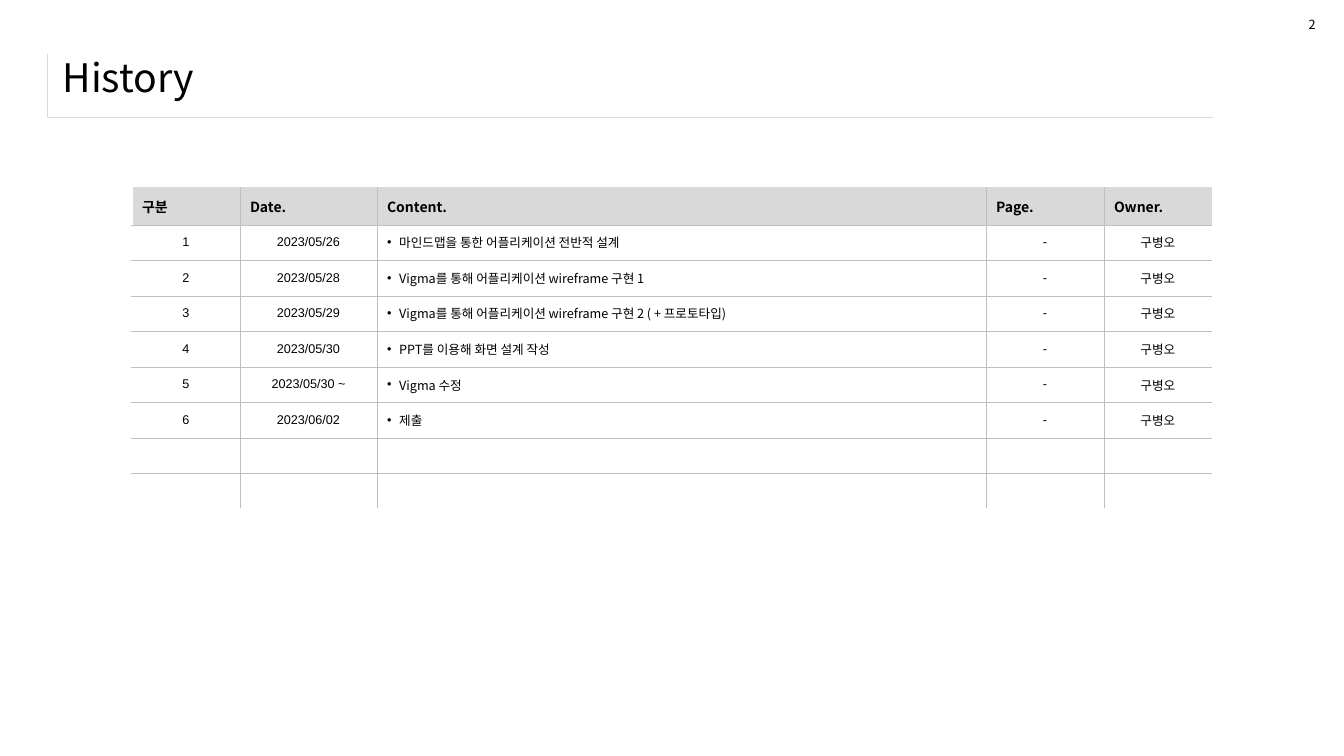
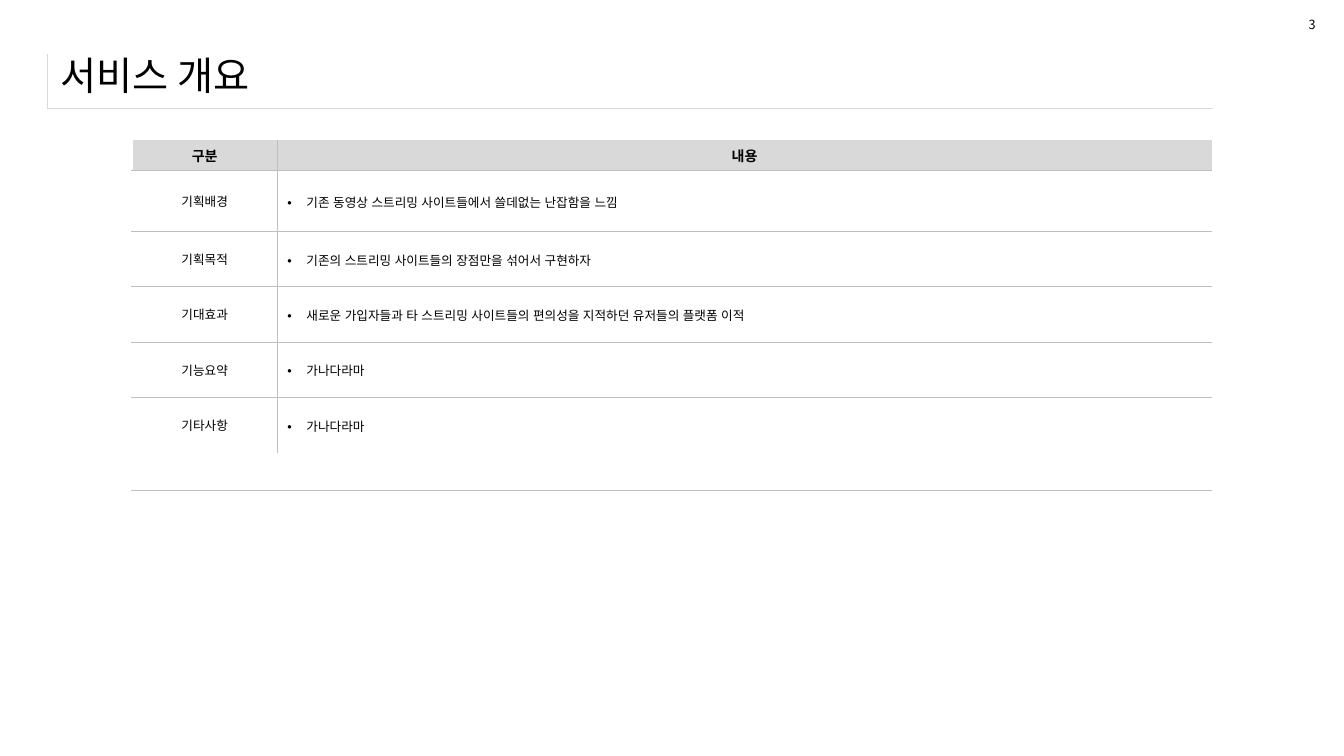
from dataclasses import dataclass

from lxml.etree import SubElement
from pptx import Presentation
from pptx.dml.color import RGBColor
from pptx.enum.text import MSO_ANCHOR, MSO_AUTO_SIZE, PP_ALIGN
from pptx.oxml.ns import qn
from pptx.slide import Slide
from pptx.table import Table, _Cell
from pptx.text.text import _Paragraph
from pptx.util import Inches, Pt

KOREAN_FONT = "Noto Sans CJK KR"
LATIN_FONT = "Arial"
BLACK = "000000"
WHITE = "FFFFFF"
LIGHT_GREY = "D9D9D9"
BORDER_GREY = "BFBFBF"
FRAME_LEFT, FRAME_TOP, FRAME_WIDTH = 0.47, 0.54, 11.56
TABLE_LEFT = 1.31
TITLE_WIDTH = 12.49


@dataclass(frozen=True)
class Column:
    heading: str
    width: float
    align: PP_ALIGN = PP_ALIGN.CENTER
    font_name: str = LATIN_FONT
    bullet_indent: float = 0
    line_spacing: float = 1.0


@dataclass(frozen=True)
class TableContent:
    top: float
    columns: list[Column]
    row_heights: list[float]
    rows: list[tuple[str, ...]]
    heading_align: PP_ALIGN
    closing_row: bool = False


@dataclass(frozen=True)
class Page:
    number: int
    title: str
    title_left: float
    title_top: float
    title_height: float
    frame_height: float
    table: TableContent


def color(value: str) -> RGBColor:
    return RGBColor.from_string(value)


def format_font(paragraph: _Paragraph, size: float, name: str = KOREAN_FONT,
                bold: bool = False) -> None:
    font = paragraph.font
    font.size = Pt(size)
    font.name = name
    font.bold = bold
    font.color.rgb = color(BLACK)
    SubElement(font._rPr, qn("a:ea")).set("typeface", name)


def add_bullet(paragraph: _Paragraph, indent: float) -> None:
    properties = paragraph._p.get_or_add_pPr()
    properties.set("marL", str(Inches(indent)))
    properties.set("indent", str(-Inches(indent)))
    SubElement(properties, qn("a:buFont")).set("typeface", LATIN_FONT)
    SubElement(properties, qn("a:buChar")).set("char", "•")


def set_border(cell: _Cell, side: str, line_color: str | None) -> None:
    width = Pt(1) if line_color == WHITE else Pt(0.25)
    line = SubElement(cell._tc.get_or_add_tcPr(), qn(f"a:ln{side}"), w=str(width))
    if line_color is None:
        SubElement(line, qn("a:noFill"))
    else:
        fill = SubElement(line, qn("a:solidFill"))
        SubElement(fill, qn("a:srgbClr")).set("val", line_color)


def set_borders(cell: _Cell, left: str | None, right: str | None,
                top: str | None, bottom: str | None) -> None:
    for side, line_color in zip("LRTB", (left, right, top, bottom)):
        set_border(cell, side, line_color)


def border_cell(cell: _Cell, row: int, column: int, content: TableContent) -> None:
    last_row = len(content.row_heights) - 1
    last_column = len(content.columns) - 1
    closing = content.closing_row and row == last_row
    inner = None if closing else BORDER_GREY
    bottom = BORDER_GREY
    if content.closing_row and row == last_row - 1:
        bottom = None
    elif row == last_row and not closing:
        bottom = WHITE
    set_borders(
        cell,
        left=WHITE if column == 0 else inner,
        right=None if column == last_column else inner,
        top=None if row == 0 else inner,
        bottom=bottom,
    )


def fill_cell(cell: _Cell, text: str, column: Column, heading_align: PP_ALIGN | None) -> None:
    cell.vertical_anchor = MSO_ANCHOR.MIDDLE
    paragraph = cell.text_frame.paragraphs[0]
    if heading_align is not None:
        cell.fill.solid()
        cell.fill.fore_color.rgb = color(LIGHT_GREY)
        paragraph.text = text
        paragraph.alignment = heading_align
        format_font(paragraph, 10, bold=True)
        return
    cell.fill.background()
    if not text:
        paragraph._p.get_or_add_endParaRPr().set("sz", "900")
        return
    paragraph.text = text
    if column.bullet_indent:
        add_bullet(paragraph, column.bullet_indent)
    paragraph.alignment = column.align
    paragraph.line_spacing = column.line_spacing
    format_font(paragraph, 9, column.font_name)


def add_grid(slide: Slide, left: float, top: float, widths: list[float],
             heights: list[float]) -> Table:
    table = slide.shapes.add_table(
        len(heights), len(widths), Inches(left), Inches(top),
        Inches(sum(widths)), Inches(sum(heights))).table
    table.first_row = False
    table.horz_banding = False
    for column, width in zip(table.columns, widths):
        column.width = Inches(width)
    for row, height in zip(table.rows, heights):
        row.height = Inches(height)
    return table


def draw_table(slide: Slide, content: TableContent) -> None:
    columns = content.columns
    table = add_grid(slide, TABLE_LEFT, content.top,
                     [column.width for column in columns], content.row_heights)
    texts = [tuple(column.heading for column in columns), *content.rows]
    last_row = len(content.row_heights) - 1
    for row in range(last_row + 1):
        for index, column in enumerate(columns):
            cell = table.cell(row, index)
            text = texts[row][index] if row < len(texts) else ""
            border_cell(cell, row, index, content)
            fill_cell(cell, text, column, content.heading_align if row == 0 else None)
    if content.closing_row:
        table.cell(last_row, 0).merge(table.cell(last_row, len(columns) - 1))


def draw_title_frame(slide: Slide, height: float) -> None:
    cell = add_grid(slide, FRAME_LEFT, FRAME_TOP, [FRAME_WIDTH], [height]).cell(0, 0)
    set_borders(cell, left=LIGHT_GREY, right=None, top=None, bottom=LIGHT_GREY)
    cell.fill.background()


def draw_title(slide: Slide, page: Page) -> None:
    title = slide.shapes.title
    title.left, title.top = Inches(page.title_left), Inches(page.title_top)
    title.width, title.height = Inches(TITLE_WIDTH), Inches(page.title_height)
    frame = title.text_frame
    frame.text = page.title
    frame.auto_size = MSO_AUTO_SIZE.NONE
    frame.vertical_anchor = MSO_ANCHOR.MIDDLE
    paragraph = frame.paragraphs[0]
    paragraph.alignment = PP_ALIGN.LEFT
    format_font(paragraph, 28)


def draw_page_number(slide: Slide, number: int) -> None:
    box = slide.shapes.add_textbox(Inches(12.88), Inches(0.12), Inches(0.27), Inches(0.25))
    frame = box.text_frame
    frame.text = str(number)
    frame.word_wrap = False
    frame.auto_size = MSO_AUTO_SIZE.SHAPE_TO_FIT_TEXT
    format_font(frame.paragraphs[0], 9)


OWNER = "구병오"
HISTORY_ENTRIES = [
    ("2023/05/26", "마인드맵을 통한 어플리케이션 전반적 설계"),
    ("2023/05/28", "Vigma를 통해 어플리케이션 wireframe 구현 1"),
    ("2023/05/29", "Vigma를 통해 어플리케이션 wireframe 구현 2 ( + 프로토타입)"),
    ("2023/05/30", "PPT를 이용해 화면 설계 작성"),
    ("2023/05/30 ~", "Vigma 수정"),
    ("2023/06/02", "제출"),
]
HISTORY_ROW_HEIGHT = 2.82 / 8
HISTORY = TableContent(
    top=1.86,
    columns=[
        Column("구분", 1.07),
        Column("Date.", 1.36),
        Column("Content.", 6.04, PP_ALIGN.LEFT, KOREAN_FONT, bullet_indent=0.12),
        Column("Page.", 1.17),
        Column("Owner.", 1.07, font_name=KOREAN_FONT),
    ],
    row_heights=[0.37] + [HISTORY_ROW_HEIGHT] * 8,
    rows=[(str(number), date, task, "-", OWNER)
          for number, (date, task) in enumerate(HISTORY_ENTRIES, start=1)],
    heading_align=PP_ALIGN.LEFT,
)
OVERVIEW = TableContent(
    top=1.39,
    columns=[
        Column("구분", 1.44, line_spacing=1.2),
        Column("내용", 9.27, PP_ALIGN.JUSTIFY, bullet_indent=0.19, line_spacing=1.3),
    ],
    row_heights=[0.3, 0.6] + [0.55] * 4 + [0.37],
    rows=[
        ("기획배경", "기존 동영상 스트리밍 사이트들에서 쓸데없는 난잡함을 느낌 "),
        ("기획목적", "기존의 스트리밍 사이트들의 장점만을 섞어서 구현하자"),
        ("기대효과", "새로운 가입자들과 타 스트리밍 사이트들의 편의성을 지적하던 유저들의 플랫폼 이적"),
        ("기능요약", "가나다라마"),
        ("기타사항", "가나다라마"),
    ],
    heading_align=PP_ALIGN.CENTER,
    closing_row=True,
)
PAGES = [
    Page(2, "History", 0.52, 0.45, 0.63, 0.62, HISTORY),
    Page(3, "서비스 개요", 0.5, 0.41, 0.67, 0.53, OVERVIEW),
]

presentation = Presentation()
presentation.slide_width = Inches(13.33)
presentation.slide_height = Inches(7.5)
title_only = presentation.slide_layouts[5]
for page in PAGES:
    slide = presentation.slides.add_slide(title_only)
    draw_title_frame(slide, page.frame_height)
    draw_title(slide, page)
    draw_table(slide, page.table)
    draw_page_number(slide, page.number)
presentation.save("out.pptx")
